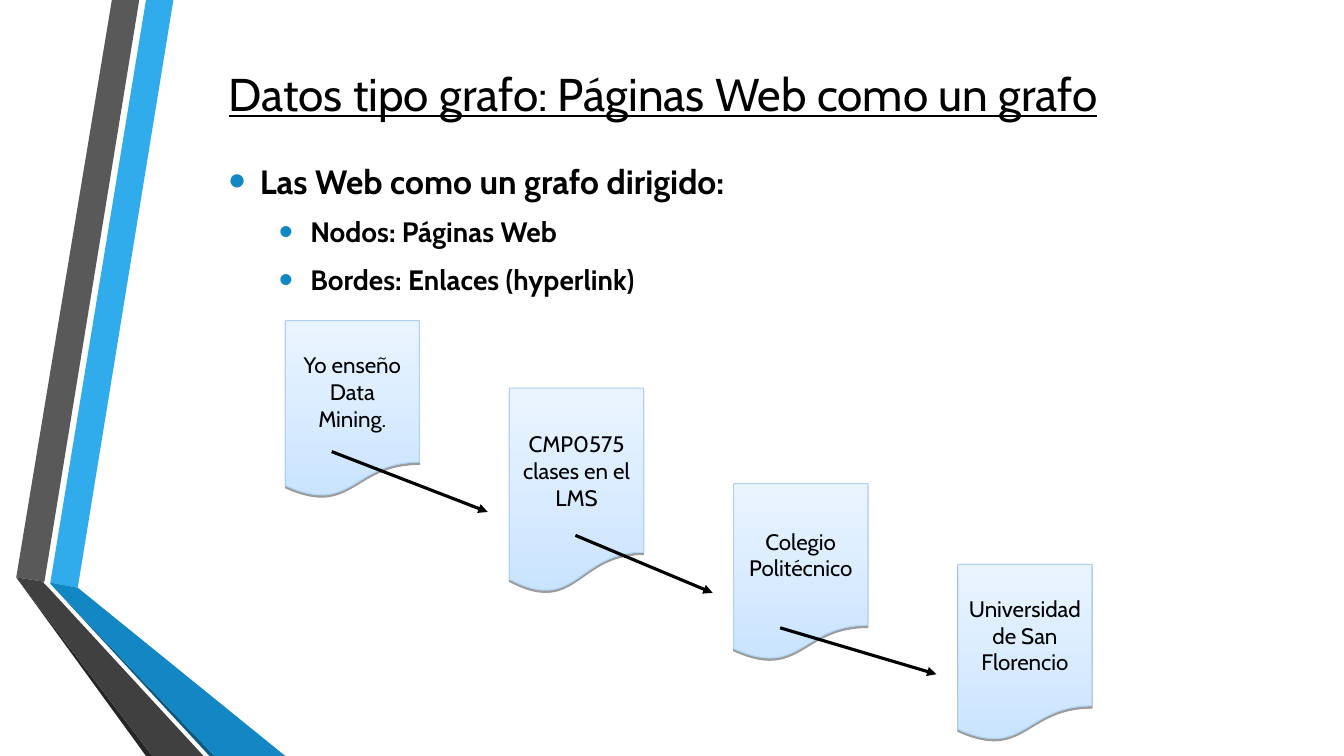
from lxml import etree
from pptx import Presentation
from pptx.dml.color import RGBColor
from pptx.enum.shapes import MSO_CONNECTOR, MSO_SHAPE
from pptx.enum.text import MSO_ANCHOR, MSO_AUTO_SIZE, PP_ALIGN
from pptx.oxml.ns import qn
from pptx.util import Cm, Pt

STRAIGHT = MSO_CONNECTOR.STRAIGHT
DOCUMENT = MSO_SHAPE.FLOWCHART_DOCUMENT
MIDDLE = MSO_ANCHOR.MIDDLE
FIXED = MSO_AUTO_SIZE.NONE
LEFT, CENTER = PP_ALIGN.LEFT, PP_ALIGN.CENTER
TITLE_ONLY = 5

COLORS = {
    "text": "000000",
    "sky": "30ACEC",
    "gray": "595959",
    "black edge": "262626",
    "navy edge": "0C5A82",
    "blue": "1287C3",
    "charcoal": "404040",
    "page bottom": "CAE4FF",
    "page top": "EAF4FF",
    "page line": "ADD2F3",
}

RIBBONS = [
    ("sky", [(1.27, 14.68), (1.96, 14.81), (4.37, 0), (3.68, 0)]),
    ("gray", [(3.51, 0), (2.82, 0), (0.41, 14.55), (1.12, 14.66)]),
    ("black edge", [(0.41, 14.55), (3.68, 19.05), (3.84, 19.05)]),
    ("navy edge", [(1.27, 14.71), (5.28, 19.05), (5.41, 19.05)]),
    ("blue", [(1.27, 14.71), (5.41, 19.05), (7.19, 19.05), (1.96, 14.81), (1.27, 14.68)]),
    ("charcoal", [(5.13, 19.05), (1.22, 14.81), (1.09, 14.68), (1.12, 14.66),
                  (0.41, 14.55), (3.84, 19.05)]),
]
BULLETS = [
    ("Las Web como un grafo dirigido:", 0),
    ("Nodos: Páginas Web", 1),
    ("Bordes: Enlaces (hyperlink)", 1),
]
PAGES = [
    ("Yo enseño Data Mining.", 8.08, 4.45),
    ("CMP0575 clases en el LMS", 9.78, 5.16),
    ("Colegio Politécnico", 12.19, 4.45),
    ("Universidad de San Florencio", 14.22, 4.45),
]
PAGE_LEFT, PAGE_STEP, PAGE_WIDTH = 7.19, 5.65, 3.38
LINKS = [
    (8.36, 11.38, 12.29, 12.9),
    (14.5, 13.49, 17.96, 14.94),
    (19.66, 15.82, 23.6, 16.99),
]


def color(name):
    return RGBColor.from_string(COLORS[name])


def add_xml(parent, tag, **attributes):
    return etree.SubElement(parent, qn(tag), attributes)


class GraphSlide:
    font_name = "Cabin"

    def __init__(self, deck):
        self.slide = deck.slides.add_slide(deck.slide_layouts[TITLE_ONLY])
        self.shapes = self.slide.shapes

    def style(self, para, size, bold=False, underline=False, align=LEFT):
        para.alignment = align
        font = para.font
        font.name, font.size = self.font_name, Pt(size)
        font.bold, font.underline = bold, underline
        font.color.rgb = color("text")

    def frame(self, box):
        frame = box.text_frame
        frame.word_wrap = True
        frame.auto_size = FIXED
        frame.vertical_anchor = MIDDLE
        return frame

    def title(self, text, left, top, width, height):
        box = self.shapes.title
        box.left, box.top = Cm(left), Cm(top)
        box.width, box.height = Cm(width), Cm(height)
        para = self.frame(box).paragraphs[0]
        para.text = text
        self.style(para, 32.8, underline=True)

    def ribbon(self, fill, points):
        corners = [(Cm(x), Cm(y)) for x, y in points]
        builder = self.shapes.build_freeform(*corners[0])
        builder.add_line_segments(corners[1:], close=True)
        shape = builder.convert_to_shape()
        shape.shadow.inherit = False
        shape.fill.solid()
        shape.fill.fore_color.rgb = color(fill)
        shape.line.fill.background()

    def bullets(self, items, left, top, width, height):
        box = self.shapes.add_textbox(Cm(left), Cm(top), Cm(width), Cm(height))
        frame = self.frame(box)
        for index, (text, level) in enumerate(items):
            para = frame.add_paragraph() if index else frame.paragraphs[0]
            para.text, para.level = text, level
            size = 20 if level else 24
            self.style(para, size, bold=True)
            para.space_before, para.space_after = Pt(size * 0.2), Pt(6)
            properties = para._p.get_or_add_pPr()
            properties.set("marL", str(Cm(0.79 + 1.27 * level)))
            properties.set("indent", str(Cm(-0.79)))
            bullet_color = add_xml(properties, "a:buClr")
            add_xml(bullet_color, "a:srgbClr", val=COLORS["blue"])
            add_xml(properties, "a:buSzPct", val="145000")
            add_xml(properties, "a:buFont", typeface="Arial")
            add_xml(properties, "a:buChar", char="•")
            properties.append(properties.find(qn("a:defRPr")))

    def page(self, text, left, top, width, height):
        shape = self.shapes.add_shape(DOCUMENT, Cm(left), Cm(top), Cm(width), Cm(height))
        shape.fill.gradient()
        shape.fill.gradient_angle = 90
        for stop, name in zip(shape.fill.gradient_stops, ("page bottom", "page top")):
            stop.color.rgb = color(name)
        shape.line.color.rgb = color("page line")
        shape.line.width = Pt(0.75)
        shape.shadow.inherit = False
        effects = shape._element.spPr.find(qn("a:effectLst"))
        shadow = add_xml(effects, "a:outerShdw", blurRad="0", dist=str(Pt(1.6)),
                         dir="5400000", rotWithShape="0")
        shade = add_xml(shadow, "a:srgbClr", val=COLORS["text"])
        add_xml(shade, "a:alpha", val="38000")
        para = self.frame(shape).paragraphs[0]
        para.text = text
        self.style(para, 16, align=CENTER)

    def link(self, *ends):
        arrow = self.shapes.add_connector(STRAIGHT, *map(Cm, ends))
        arrow.line.color.rgb = color("text")
        arrow.line.width = Pt(2.25)
        add_xml(arrow.line._get_or_add_ln(), "a:tailEnd", type="triangle")
        add_xml(arrow._element.spPr, "a:effectLst")


def main():
    deck = Presentation()
    deck.slide_width, deck.slide_height = Cm(33.87), Cm(19.05)
    slide = GraphSlide(deck)
    for fill, points in RIBBONS:
        slide.ribbon(fill, points)
    slide.title("Datos tipo grafo: Páginas Web como un grafo", 5.51, 0.76, 26.87, 3.18)
    slide.bullets(BULLETS, 5.51, 3.43, 22.86, 4.65)
    for index, (text, top, height) in enumerate(PAGES):
        slide.page(text, PAGE_LEFT + index * PAGE_STEP, top, PAGE_WIDTH, height)
    for ends in LINKS:
        slide.link(*ends)
    deck.save("out.pptx")


if __name__ == "__main__":
    main()
